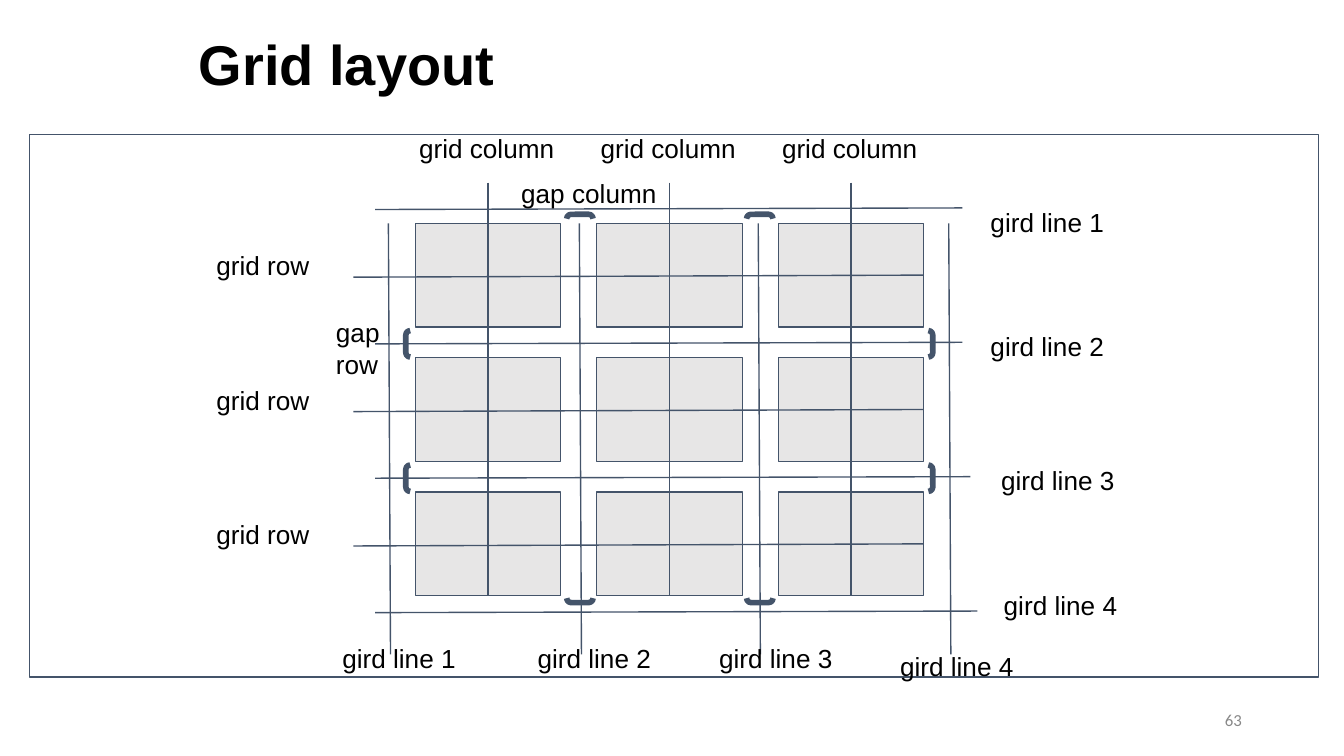
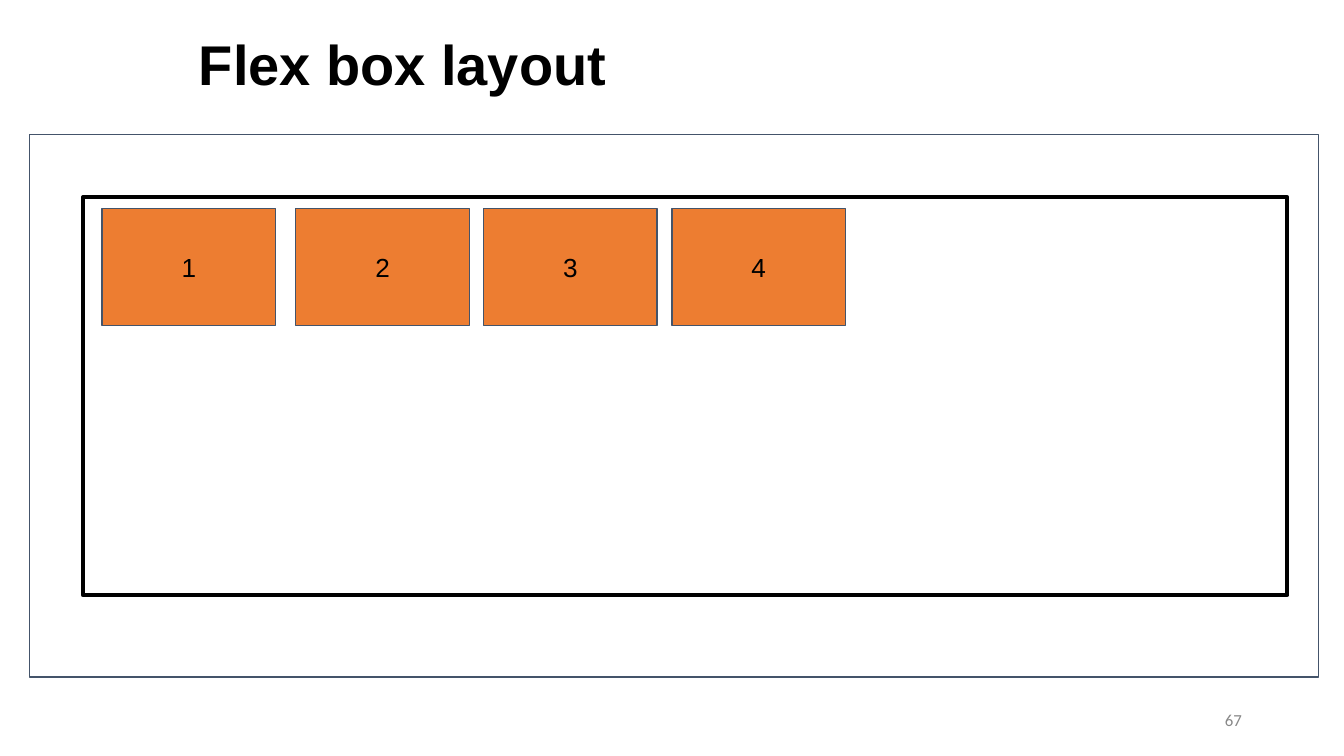
from lxml import etree
from pptx import Presentation, util as u
from pptx.dml.color import RGBColor
from pptx.enum import shapes, text
from pptx.oxml.ns import qn

Cm = u.Cm
HUE = {"ink": "000000", "line": "44546A", "cell": "E7E6E6",
       "item": "ED7D31", "page": "888888", "white": "FFFFFF"}
KIND = shapes.MSO_SHAPE
ALIGN = text.PP_ALIGN
MID = text.MSO_ANCHOR.MIDDLE
BODY = {"name": "Arial", "size": u.Pt(14)}
HEAD = {"name": "Arial", "size": u.Pt(30), "bold": True}
PAGE = {"name": "Calibri", "size": u.Pt(9)}


def draw(slide, kind, area, fill=None, line="line", width=0.75):
    shape = slide.shapes.add_shape(kind, *map(Cm, area))
    shape.shadow.inherit = False
    if fill:
        shape.fill.solid()
        shape.fill.fore_color.rgb = RGBColor.from_string(HUE[fill])
    else:
        shape.fill.background()
    shape.line.color.rgb = RGBColor.from_string(HUE[line])
    shape.line.width = u.Pt(width)
    return shape


def write(shape, words, font=BODY, hue="ink", pad=(0.25, 0.25),
          align=ALIGN.LEFT, anchor=text.MSO_ANCHOR.TOP):
    """Fill a shape with one paragraph; pad is the side and the top/bottom inset."""
    frame = shape.text_frame
    side, edge = map(Cm, pad)
    form = {"word_wrap": True, "auto_size": text.MSO_AUTO_SIZE.NONE,
            "vertical_anchor": anchor, "margin_left": side,
            "margin_right": side, "margin_top": edge, "margin_bottom": edge}
    for key, val in form.items():
        setattr(frame, key, val)
    para = frame.paragraphs[0]
    para.alignment = align
    run = para.add_run()
    run.text = words
    for key, val in font.items():
        setattr(run.font, key, val)
    run.font.color.rgb = RGBColor.from_string(HUE[hue])
    return para


deck = Presentation()
deck.slide_width, deck.slide_height = Cm(25.4), Cm(14.29)

# Frame, page number and title of both slides
pages = []
for name, num in (("Grid layout", "63"), ("Flex box layout", "67")):
    slide = deck.slides.add_slide(deck.slide_layouts[5])
    draw(slide, KIND.RECTANGLE, (0.56, 2.54, 24.36, 10.26), "white")
    foot = slide.shapes.add_textbox(Cm(17.93), Cm(13.23), Cm(5.72), Cm(0.76))
    write(foot, num, PAGE, "page", (0.18, 0.1), ALIGN.RIGHT, MID)
    title = slide.shapes.title
    title.left, title.top, title.width, title.height = map(
        Cm, (3.58, 0.3, 20.9, 1.96))
    write(title, name, HEAD, pad=(0.18, 0.18), anchor=MID).line_spacing = 0.9
    pages.append(slide)
grid, flex = pages

# Grid cells
left, top, wide, high = 7.85, 4.22, 2.75, 1.96
dx, dy = 3.43, 2.54
cells = [[draw(grid, KIND.RECTANGLE,
               (left + col * dx, top + row * dy, wide, high), "cell")
          for col in range(3)] for row in range(3)]

# Lines: start, end, and the cell and side where the line ends
lines = []
for n in range(3):
    x, y = left + n * dx + wide / 2, top + n * dy + high / 2
    lines.append(((x, 3.45), (x, 11.26), (cells[2][n], 2)))
    lines.append(((6.68, y + 0.04), (18.03, y), (cells[n][2], 3)))
for n, end in enumerate((18.19, 18.19, 18.34, 18.47)):
    y = 3.96 + n * dy
    lines.append(((7.09, y), (end, y - 0.03), None))
for x in (7.34, 10.95, 14.33, 17.93):
    lines.append(((x, top), (x + 0.04, 12.37), None))

for start, end, joint in lines:
    rule = grid.shapes.add_connector(
        shapes.MSO_CONNECTOR.STRAIGHT, *map(Cm, start + end))
    if joint:
        rule.end_connect(*joint)
    rule.line.color.rgb = RGBColor.from_string(HUE["line"])
    rule.line.width = u.Pt(0.75)
    etree.SubElement(rule._element.spPr, qn("a:effectLst"))

# Labels: words, left, top, width, height
notes = [("gap row", 6.1, 5.74, 1.35, 0.76),
         ("gap column", 9.6, 3.1, 3.1, 0.76)]
for n in range(3):
    notes.append(("grid column", 7.67 + n * dx, 2.26, 3.1, 1.19))
    notes.append(("grid row", 3.84, 4.47 + n * dy, 2.41, 0.76))
spots = (((18.47, 3.66), (18.47, 5.99), (18.67, 8.53), (18.72, 10.9)),
         ((6.22, 11.89), (9.91, 11.89), (13.34, 11.89), (16.76, 12.04)))
for group in spots:
    for n, (x, y) in enumerate(group, 1):
        notes.append((f"gird line {n}", x, y, 2.74, 0.76))
for words, *area in notes:
    write(grid.shapes.add_textbox(*map(Cm, area)), words)

# Brackets around the gaps
for n in range(2):
    draw(grid, KIND.DOUBLE_BRACKET, (7.67, 6.25 + n * dy, 9.96, 0.5), width=3)
    turned = draw(grid, KIND.DOUBLE_BRACKET,
                  (7.29 + n * 3.4, 7.47, 7.34, 0.5), width=3)
    turned.rotation = 270

# Flex container and its items
draw(flex, KIND.RECTANGLE, (1.57, 3.73, 22.76, 7.52), line="ink", width=2.25)
for n, x in enumerate((1.93, 5.59, 9.14, 12.7), 1):
    item = draw(flex, KIND.RECTANGLE, (x, 3.94, 3.28, 2.21), "item")
    write(item, str(n), align=ALIGN.CENTER, anchor=MID)

deck.save("out.pptx")
